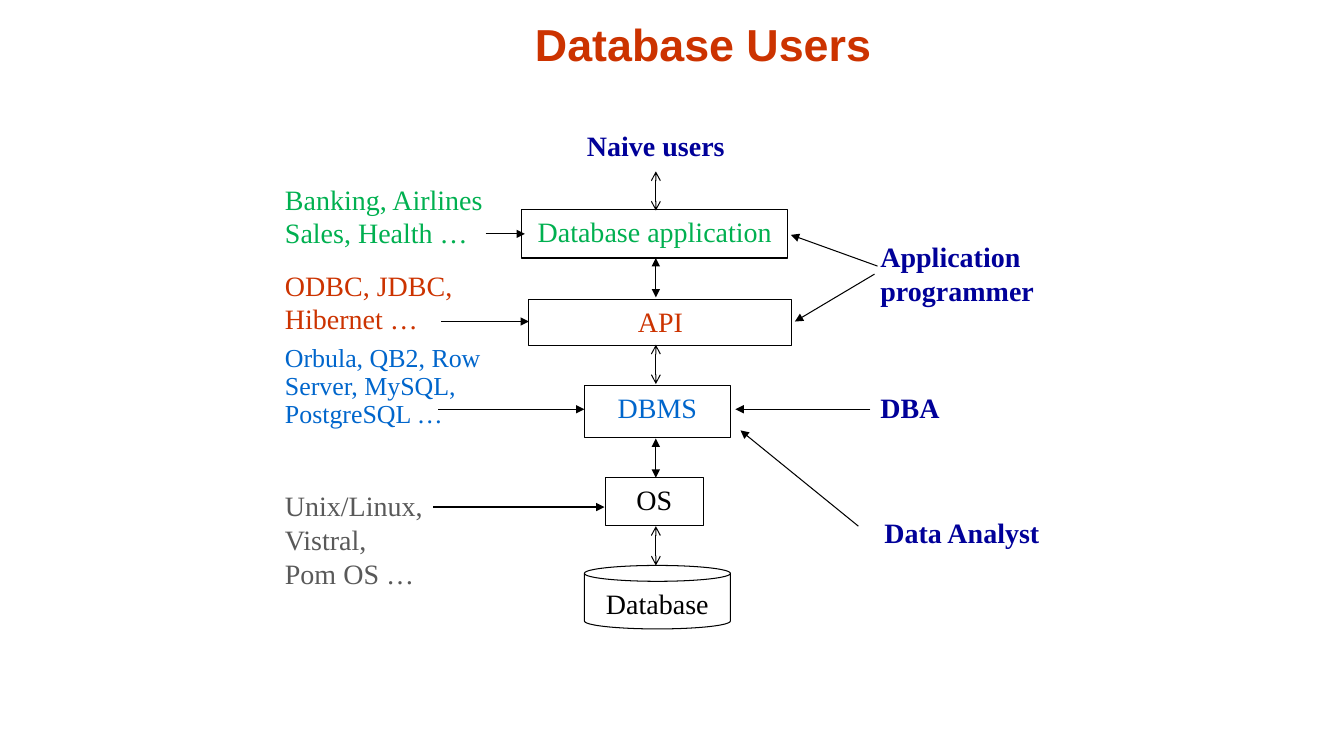
import pptx
import pptx.util
import pptx.dml.color
import pptx.enum.shapes
import pptx.enum.text
import pptx.oxml
import pptx.oxml.ns

RGBColor = pptx.dml.color.RGBColor
MSO_SHAPE = pptx.enum.shapes.MSO_SHAPE
PP_ALIGN = pptx.enum.text.PP_ALIGN
MSO_ANCHOR = pptx.enum.text.MSO_ANCHOR

BLACK = RGBColor(0x00, 0x00, 0x00)
RED = RGBColor(0xCC, 0x33, 0x00)
GREEN = RGBColor(0x00, 0xB0, 0x50)
BLUE = RGBColor(0x00, 0x66, 0xCC)
GRAY = RGBColor(0x59, 0x59, 0x59)
NAVY = RGBColor(0x00, 0x00, 0x99)

EMU_PER_PX = 9144
SLIDE_SIZE = (1334, 750)
BODY_FONT = "Times New Roman"

TITLE = "Database Users"
TITLE_BOX = (109, 8, 1178, 67)

LAYERS = [
    ("Database application", (518, 208, 264, 48), GREEN, MSO_SHAPE.RECTANGLE),
    ("API", (525, 297, 261, 46), RED, MSO_SHAPE.RECTANGLE),
    ("DBMS", (580, 382, 145, 52), BLUE, MSO_SHAPE.RECTANGLE),
    ("OS", (601, 474, 97, 47), BLACK, MSO_SHAPE.RECTANGLE),
    ("Database", (580, 561, 145, 63), BLACK, MSO_SHAPE.CAN),
]

LEFT, JUSTIFY, CENTER = PP_ALIGN.LEFT, PP_ALIGN.JUSTIFY, PP_ALIGN.CENTER
EXAMPLES_LEFT = 273
EXAMPLES = [
    ("Banking, Airlines\nSales, Health …", 176, 218, 79, GREEN, JUSTIFY, 20, 1.0),
    ("ODBC, JDBC,\nHibernet …", 261, 218, 79, RED, JUSTIFY, 20, 1.0),
    ("Orbula, QB2, Row Server, MySQL, PostgreSQL …", 337, 218, 139, BLUE, LEFT, 18.5, 0.9),
    ("Unix/Linux,\nVistral,\nPom OS …", 480, 194, 119, GRAY, JUSTIFY, 20, 1.0),
]

USERS = [
    ("Naive users", (530, 123, 242, 47), CENTER),
    ("Application programmer", (864, 233, 196, 79), JUSTIFY),
    ("DBA", (864, 382, 212, 71), JUSTIFY),
    ("Data Analyst", (868, 506, 212, 71), JUSTIFY),
]

SPINE_X = 651
SPINE_LENGTH = 39
SPINE_TOPS = [170, 256, 342, 435, 522]
SPINE_HEADS = ["arrow", "triangle"]

POINTERS = [
    ((482, 232), (521, 232)),
    ((438, 319), (525, 319)),
    ((435, 406), (580, 406)),
    ((430, 503), (600, 503)),
    ((871, 264), (785, 233)),
    ((868, 272), (789, 319)),
    ((864, 406), (730, 406)),
    ((852, 522), (735, 427)),
]


def px(*lengths):
    return [pptx.util.Emu(length * EMU_PER_PX) for length in lengths]


def write(shape, text, color, align, size=20, bold=False, font=BODY_FONT, spacing=1.0):
    frame = shape.text_frame
    frame.word_wrap = True
    frame.text = text
    for paragraph in frame.paragraphs:
        paragraph.alignment = align
        paragraph.line_spacing = spacing
        for run in paragraph.runs:
            run.font.name = font
            run.font.size = pptx.util.Pt(size)
            run.font.bold = bold
            run.font.color.rgb = color


def add_label(slide, box, text, color, align, **style):
    write(slide.shapes.add_textbox(*px(*box)), text, color, align, **style)


def add_layer(slide, text, box, color, kind):
    shape = slide.shapes.add_shape(kind, *px(*box))
    shape.shadow.inherit = False
    shape.fill.background()
    shape.line.color.rgb = BLACK
    shape.line.width = pptx.util.Pt(0.75)
    shape.text_frame.vertical_anchor = MSO_ANCHOR.TOP
    write(shape, text, color, CENTER)


def add_arrow(slide, start, end, tail="triangle", head=None):
    connector = slide.shapes.add_connector(
        pptx.enum.shapes.MSO_CONNECTOR.STRAIGHT, *px(*start, *end))
    connector.line.color.rgb = BLACK
    connector.line.width = pptx.util.Pt(0.75)
    line = connector.line._get_or_add_ln()
    for tag, kind in (("a:headEnd", head), ("a:tailEnd", tail)):
        if kind:
            arrowhead = pptx.oxml.xmlchemy.OxmlElement(tag)
            arrowhead.set("type", kind)
            line.append(arrowhead)
    connector._element.spPr.append(pptx.oxml.xmlchemy.OxmlElement("a:effectLst"))


def main():
    presentation = pptx.Presentation()
    presentation.slide_width, presentation.slide_height = px(*SLIDE_SIZE)
    slide = presentation.slides.add_slide(presentation.slide_layouts[5])

    title = slide.shapes.title
    title.left, title.top, title.width, title.height = px(*TITLE_BOX)
    title.text_frame.vertical_anchor = MSO_ANCHOR.BOTTOM
    write(title, TITLE, RED, CENTER, size=32, bold=True, font="Arial")

    for layer in LAYERS:
        add_layer(slide, *layer)
    for text, top, width, height, color, align, size, spacing in EXAMPLES:
        add_label(slide, (EXAMPLES_LEFT, top, width, height), text, color, align,
                  size=size, spacing=spacing)
    for text, box, align in USERS:
        add_label(slide, box, text, NAVY, align, bold=True)

    for index, top in enumerate(SPINE_TOPS):
        kind = SPINE_HEADS[index % 2]
        add_arrow(slide, (SPINE_X, top), (SPINE_X, top + SPINE_LENGTH), kind, kind)
    for start, end in POINTERS:
        add_arrow(slide, start, end)

    presentation.save("out.pptx")


if __name__ == "__main__":
    main()
